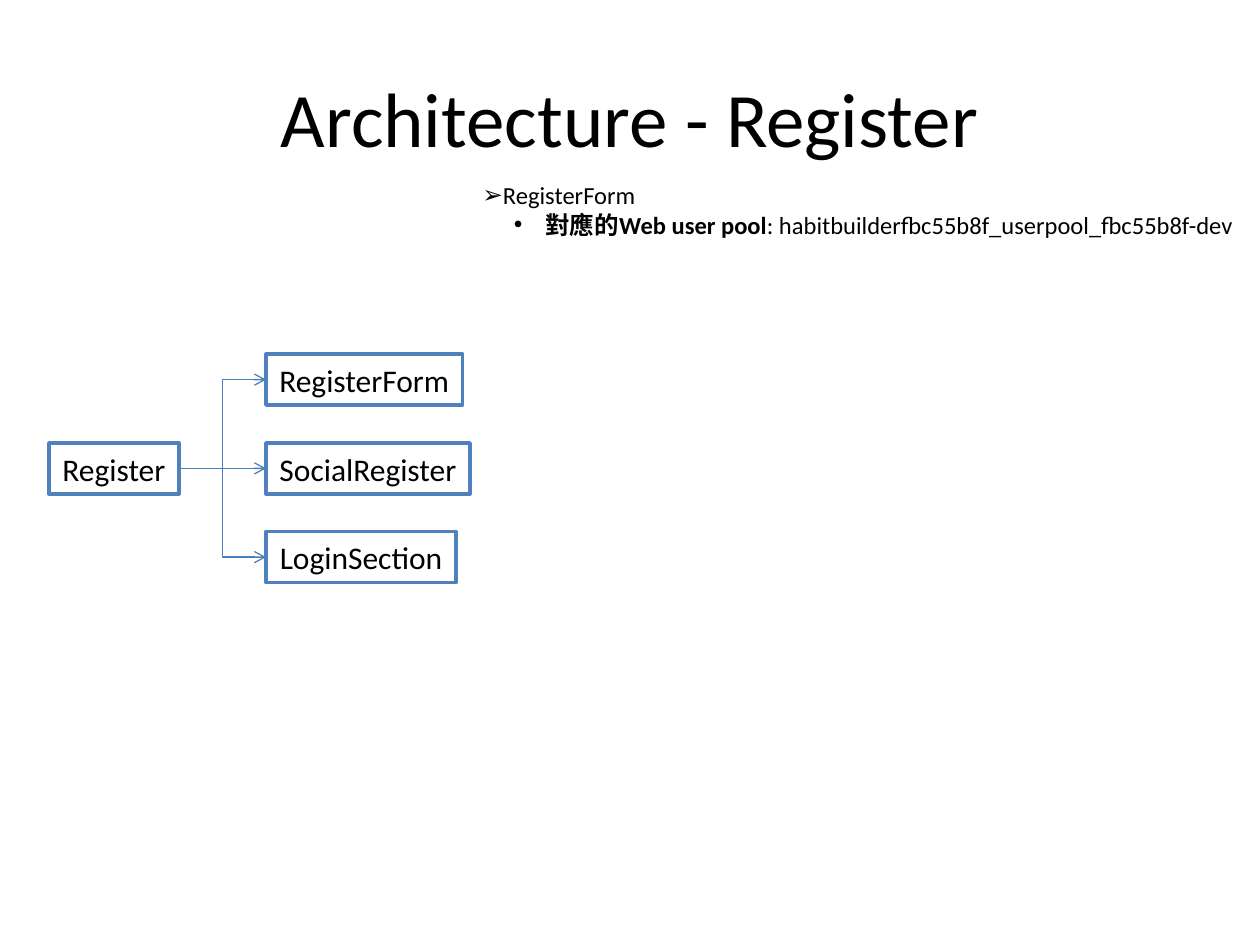
"""Build the Architecture - Register slide: a component tree and its notes."""
from lxml import etree
from pptx import Presentation
from pptx import util as u
from pptx.dml.color import RGBColor
from pptx.enum import shapes, text
from pptx.oxml import ns

TITLE = "Architecture - Register"
ROOT = ("Register", 74.2)
CHILDREN = [("RegisterForm", 112.3), ("SocialRegister", 116.6), ("LoginSection", 108.7)]
NOTES = [
    {"level": 0, "bullet": "➢", "margin": 0, "indent": 0,
     "spans": [("RegisterForm", False)]},
    {"level": 1, "bullet": "•", "margin": 36, "indent": -18,
     "spans": [("對應的Web user pool", True),
               (": habitbuilderfbc55b8f_userpool_fbc55b8f-dev", False)]},
]

BLACK = RGBColor(0x00, 0x00, 0x00)
WHITE = RGBColor(0xFF, 0xFF, 0xFF)
BORDER = RGBColor(0x4F, 0x81, 0xBD)
ARROW = RGBColor(0x4B, 0x7E, 0xBC)
ROOT_LEFT, CHILD_LEFT = 28, 152
FIRST_TOP, PITCH, BOX_HEIGHT = 202.4, 50.7, 29.1


def points(*values):
    return [u.Pt(value) for value in values]


def set_all(target, values):
    for name, value in values.items():
        setattr(target, name, value)


def add_span(para, words, size, bold=False):
    span = para.add_run()
    span.text = words
    set_all(span.font, {"name": "Calibri", "size": u.Pt(size), "bold": bold})
    span.font.color.rgb = BLACK


def add_box(page, label, left, top, width):
    box = page.shapes.add_shape(shapes.MSO_SHAPE.RECTANGLE,
                                *points(left, top, width, BOX_HEIGHT))
    box.shadow.inherit = False
    box.fill.solid()
    box.fill.fore_color.rgb = WHITE
    box.line.color.rgb = BORDER
    box.line.width = u.Pt(2)
    set_all(box.text_frame, {"word_wrap": False,
                             "auto_size": text.MSO_AUTO_SIZE.SHAPE_TO_FIT_TEXT,
                             "vertical_anchor": text.MSO_ANCHOR.MIDDLE})
    para = box.text_frame.paragraphs[0]
    para.alignment = text.PP_ALIGN.CENTER
    add_span(para, label, 18)
    return box


def add_arrow(page, source, target):
    arrow = page.shapes.add_connector(shapes.MSO_CONNECTOR.ELBOW, 0, 0, 0, 0)
    arrow.begin_connect(source, 3)
    arrow.end_connect(target, 1)
    arrow.line.color.rgb = ARROW
    arrow.line.width = u.Pt(0.75)
    etree.SubElement(arrow.line._get_or_add_ln(), ns.qn("a:tailEnd"), type="arrow")
    etree.SubElement(arrow._element.spPr, ns.qn("a:effectLst"))


def add_notes(page):
    frame = page.shapes.add_textbox(*points(268.6, 99.4, 451.4, 41.2)).text_frame
    set_all(frame, {"word_wrap": False,
                    "auto_size": text.MSO_AUTO_SIZE.SHAPE_TO_FIT_TEXT})
    for index, note in enumerate(NOTES):
        para = frame.add_paragraph() if index else frame.paragraphs[0]
        para.level = note["level"]
        props = para._p.get_or_add_pPr()
        props.set("marL", str(u.Pt(note["margin"])))
        props.set("indent", str(u.Pt(note["indent"])))
        etree.SubElement(props, ns.qn("a:buFont"), typeface="Arial")
        etree.SubElement(props, ns.qn("a:buChar"), char=note["bullet"])
        for words, bold in note["spans"]:
            add_span(para, words, 14, bold)


def main():
    deck = Presentation()
    deck.slide_width, deck.slide_height = points(720, 540)
    page = deck.slides.add_slide(deck.slide_layouts[5])

    title = page.shapes.title
    set_all(title, dict(zip(("left", "top", "width", "height"),
                            points(36, 21.6, 648, 90))))
    title.text_frame.vertical_anchor = text.MSO_ANCHOR.MIDDLE
    para = title.text_frame.paragraphs[0]
    para.alignment = text.PP_ALIGN.CENTER
    add_span(para, TITLE, 44)

    boxes = [add_box(page, label, CHILD_LEFT, FIRST_TOP + row * PITCH, width)
             for row, (label, width) in enumerate(CHILDREN)]
    middle = FIRST_TOP + PITCH * (len(CHILDREN) - 1) / 2
    root = add_box(page, ROOT[0], ROOT_LEFT, middle, ROOT[1])
    for box in boxes:
        add_arrow(page, root, box)
    add_notes(page)
    deck.save("out.pptx")


if __name__ == "__main__":
    main()
